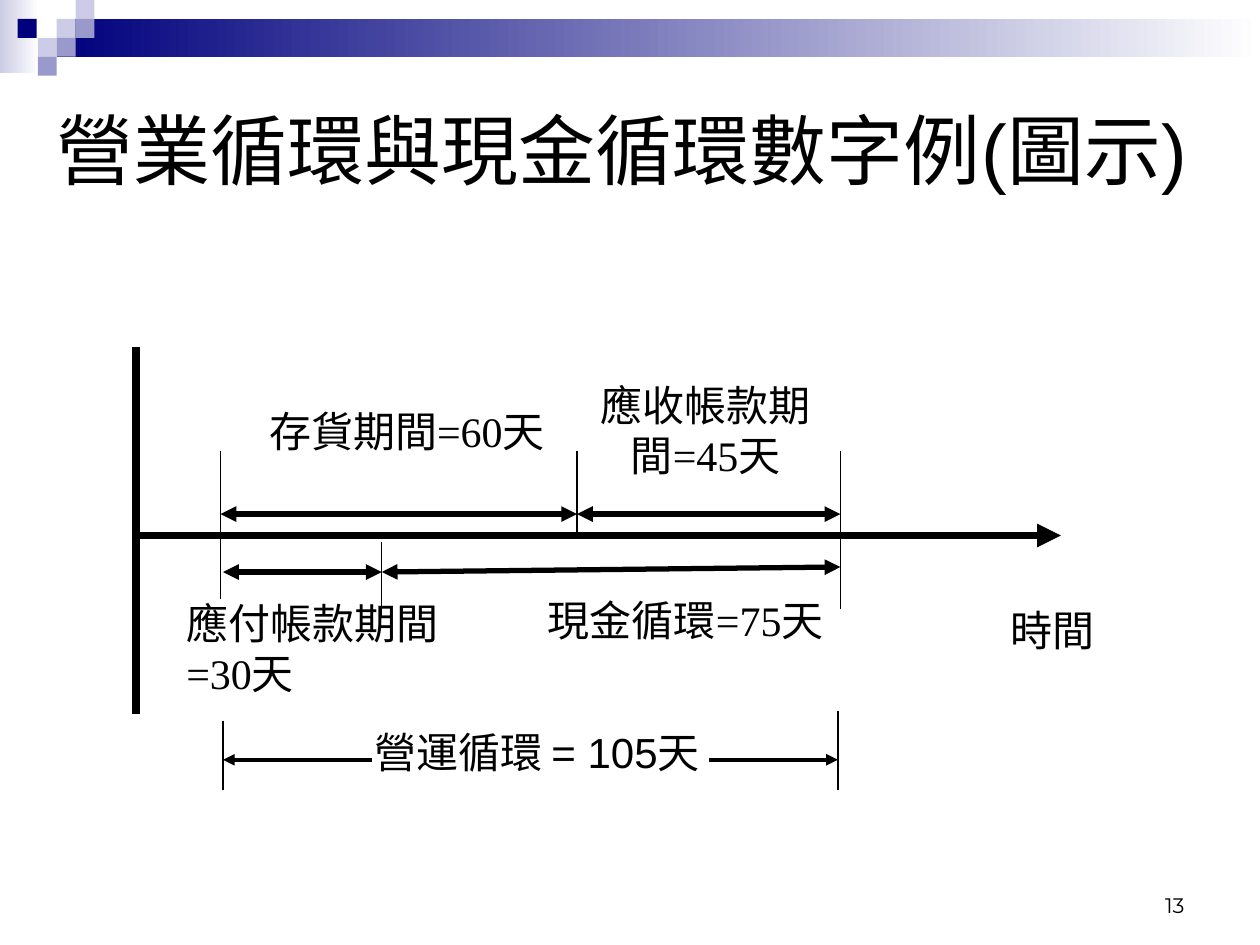
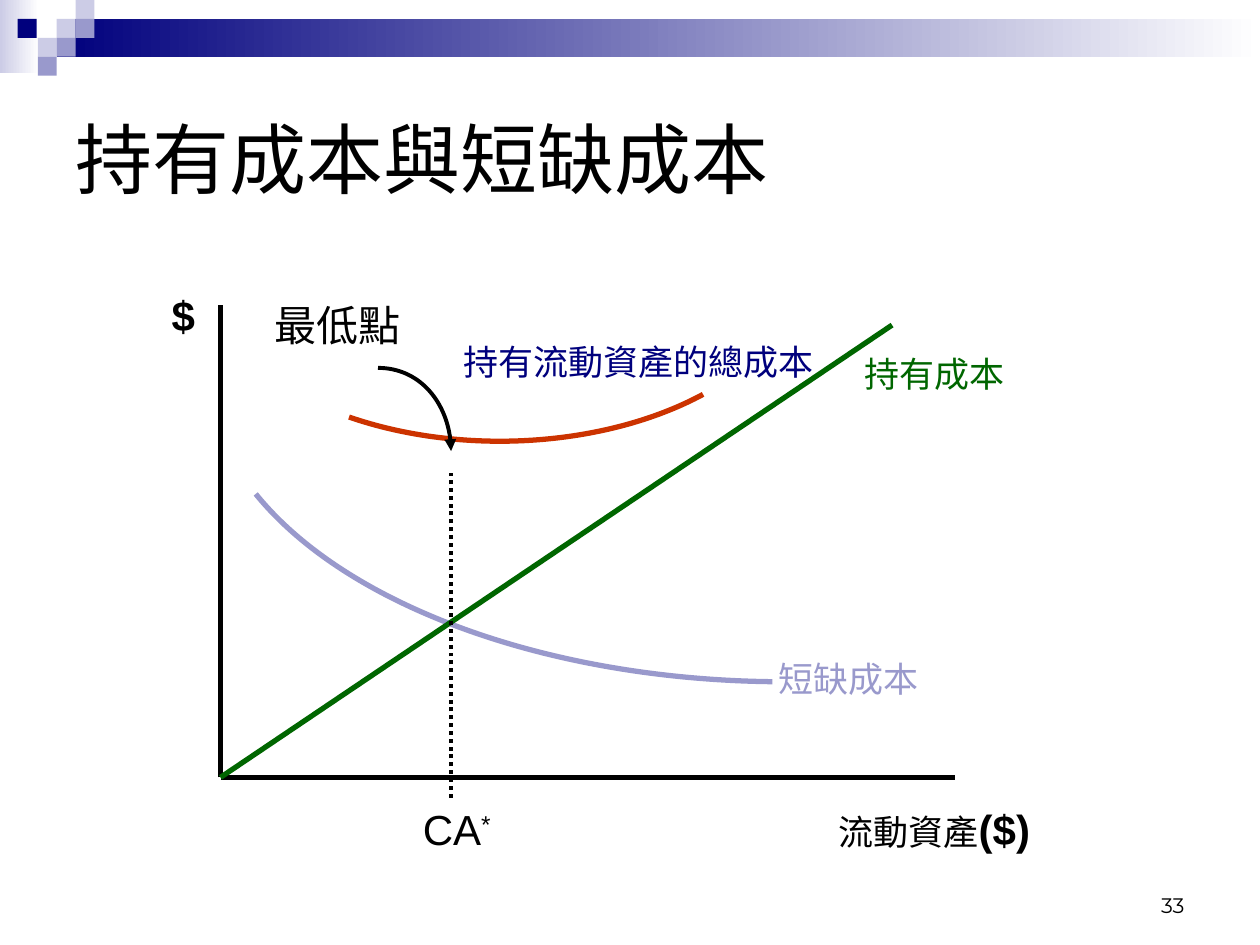
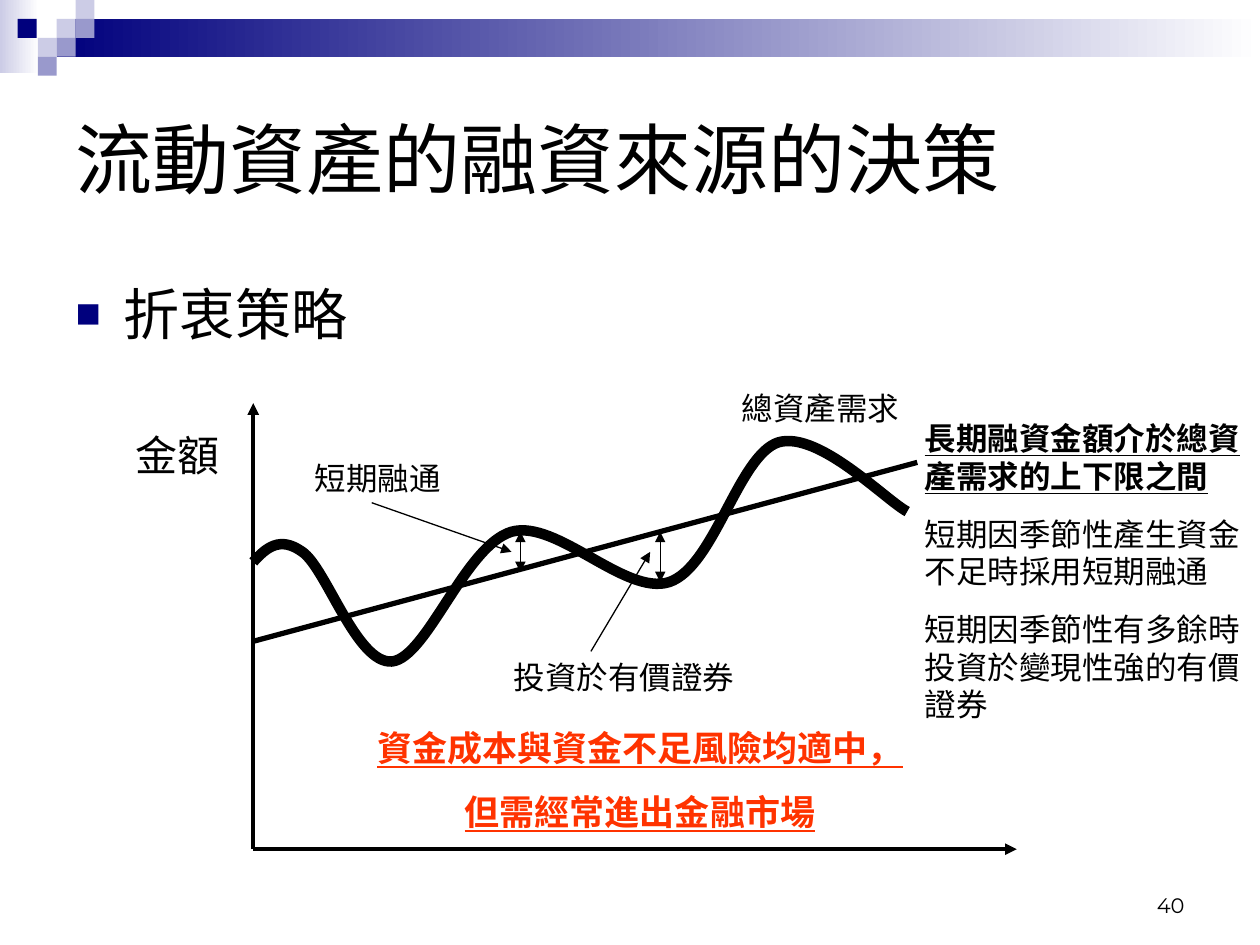
from dataclasses import dataclass
from typing import NamedTuple

from lxml.etree import SubElement
from pptx import Presentation
from pptx.dml.color import RGBColor
from pptx.enum.dml import MSO_LINE
from pptx.enum.shapes import MSO_CONNECTOR, MSO_SHAPE
from pptx.enum.text import MSO_ANCHOR, MSO_AUTO_SIZE, PP_ALIGN
from pptx.oxml.ns import qn
from pptx.util import Inches, Pt

BLACK = RGBColor(0x00, 0x00, 0x00)
WHITE = RGBColor(0xFF, 0xFF, 0xFF)
NAVY = RGBColor(0x00, 0x00, 0x7D)
LILAC = RGBColor(0x99, 0x99, 0xCC)
PALE = RGBColor(0xCC, 0xCC, 0xE6)
GREEN = RGBColor(0x00, 0x66, 0x00)
RUST = RGBColor(0xCC, 0x33, 0x00)
RED = RGBColor(0xFF, 0x33, 0x00)

SANS, SERIF, FOLIO = "Arial", "Times New Roman", "Montserrat"
LEFT, MID, RIGHT = PP_ALIGN.LEFT, PP_ALIGN.CENTER, PP_ALIGN.RIGHT
HEAD, TAIL = "headEnd", "tailEnd"
BOTH = (HEAD, TAIL)


class Box(NamedTuple):
    left: float
    top: float
    width: float
    height: float

    def emu(self) -> list:
        return [Inches(v) for v in self]


class Tile(NamedTuple):
    box: Box
    color: RGBColor
    fade: bool = False


@dataclass
class Label:
    words: str
    box: Box
    size: float = 24
    font: str = SERIF
    color: RGBColor = BLACK
    align: PP_ALIGN = LEFT
    bold: bool = False


@dataclass
class Line:
    start: tuple
    end: tuple
    width: float = 0.75
    color: RGBColor = BLACK
    tips: tuple = ()
    dash: bool = False


@dataclass
class Curve:
    points: list  # start, then two handles and an end for each arc
    width: float
    color: RGBColor = BLACK
    tips: tuple = ()


# Corner mosaic and top band
UNIT = 0.15
TILES = [
    Tile(Box(0, 0, 0.31, 0.58), PALE, True),
    Tile(Box(0.45, 0.15, 9.55, 0.3), NAVY, True),
] + [
    Tile(Box(left, top, UNIT, UNIT), color)
    for left, top, color in [
        (0.45, 0.15, PALE), (0.6, 0, PALE), (0.6, 0.15, LILAC),
        (0.3, 0.3, PALE), (0.14, 0.15, NAVY), (0.45, 0.3, LILAC),
        (0.3, 0.45, LILAC),
    ]
]


def write(par, words: str, *, size: float, font: str = SANS,
          color: RGBColor = BLACK, bold: bool = False,
          under: bool = False, raised: bool = False) -> None:
    run = par.add_run()
    run.text = words
    face = run.font
    face.size, face.name = Pt(size), font
    face.bold, face.underline = bold, under
    face.color.rgb = color
    if raised:
        face._element.set("baseline", "30000")


def frame(slide, box: Box, anchor=MSO_ANCHOR.TOP):
    text = slide.shapes.add_textbox(*box.emu()).text_frame
    text.word_wrap = True
    text.vertical_anchor = anchor
    return text


def add_label(slide, item: Label):
    par = frame(slide, item.box).paragraphs[0]
    par.alignment = item.align
    write(par, item.words, size=item.size, font=item.font,
          color=item.color, bold=item.bold)
    return par


def add_block(slide, box: Box, lines: list, gap: float, align, **form) -> None:
    """Several paragraphs; each line is (words, strong)."""
    text = frame(slide, box)
    for i, (words, strong) in enumerate(lines):
        par = text.add_paragraph() if i else text.paragraphs[0]
        par.alignment = align
        if i:
            par.space_before = Pt(gap)
        write(par, words, bold=strong, under=strong, **form)


def stroke(shape, item) -> None:
    shape.line.width = Pt(item.width)
    shape.line.color.rgb = item.color
    if getattr(item, "dash", False):
        shape.line.dash_style = MSO_LINE.ROUND_DOT
    pen = shape._element.spPr.find(qn("a:ln"))
    for tip in item.tips:
        SubElement(pen, qn(f"a:{tip}"), type="triangle")


def add_line(slide, item: Line) -> None:
    ends = [Inches(v) for v in (*item.start, *item.end)]
    shape = slide.shapes.add_connector(MSO_CONNECTOR.STRAIGHT, *ends)
    stroke(shape, item)
    SubElement(shape._element.spPr, qn("a:effectLst"))


def add_curve(slide, item: Curve) -> None:
    first, *rest = [(Inches(x), Inches(y)) for x, y in item.points]
    pen = slide.shapes.build_freeform(*first)
    pen.add_line_segments(rest, close=False)
    shape = pen.convert_to_shape()
    shape.shadow.inherit = False
    shape.fill.background()
    # Turn every three straight steps into one Bezier arc
    trace = next(shape._element.iter(qn("a:path")))
    steps = trace.findall(qn("a:lnTo"))
    for i in range(0, len(steps), 3):
        arc = SubElement(trace, qn("a:cubicBezTo"))
        for step in steps[i:i + 3]:
            arc.append(step[0])
            trace.remove(step)
    stroke(shape, item)


def add_tile(slide, tile: Tile) -> None:
    shape = slide.shapes.add_shape(MSO_SHAPE.RECTANGLE, *tile.box.emu())
    shape.shadow.inherit = False
    shape.line.fill.background()
    if tile.fade:
        shape.fill.gradient()
        shape.fill.gradient_angle = 180
        for stop, color in zip(shape.fill.gradient_stops, (WHITE, tile.color)):
            stop.color.rgb = color
    else:
        shape.fill.solid()
        shape.fill.fore_color.rgb = tile.color


def place(holder, box: Box, anchor):
    holder.left, holder.top, holder.width, holder.height = box.emu()
    text = holder.text_frame
    text.word_wrap = True
    text.auto_size = MSO_AUTO_SIZE.NONE
    text.vertical_anchor = anchor
    par = text.paragraphs[0]
    par.alignment = LEFT
    par.space_before = Pt(0)
    return par


def new_slide(deck, title: str, folio: str, layout: int = 5,
              box: Box = Box(0.5, 0.5, 9, 1.5)):
    slide = deck.slides.add_slide(deck.slide_layouts[layout])
    for tile in TILES:
        add_tile(slide, tile)
    write(place(slide.shapes.title, box, MSO_ANCHOR.MIDDLE), title, size=44)
    foot = frame(slide, Box(7.17, 6.83, 2.33, 0.5), MSO_ANCHOR.BOTTOM)
    foot.paragraphs[0].alignment = RIGHT
    write(foot.paragraphs[0], folio, size=12, font=FOLIO)
    return slide


def add_bullet(slide, words: str) -> None:
    par = place(slide.placeholders[1], Box(0.5, 2.17, 9.3, 5.13),
                MSO_ANCHOR.TOP)
    props = par._p.get_or_add_pPr()
    props.set("marL", str(Inches(0.38)))
    props.set("indent", str(-Inches(0.38)))
    tint = SubElement(props, qn("a:buClr"))
    SubElement(tint, qn("a:srgbClr"), val=str(NAVY))
    SubElement(props, qn("a:buSzPct"), val="75000")
    SubElement(props, qn("a:buChar"), char="■")
    write(par, words, size=32)


def draw(slide, items: list) -> None:
    tools = {Line: add_line, Curve: add_curve, Label: add_label}
    for item in items:
        tools[type(item)](slide, item)


def cycle_slide(deck) -> None:
    slide = new_slide(deck, "營業循環與現金循環數字例(圖示)", "13",
                      box=Box(0.35, 0.68, 9.21, 1))
    buy, pay, sell, cash = 1.75, 3.03, 4.58, 6.67
    low, high = 1.77, 6.65
    draw(slide, [
        # Time axis
        Line((1.08, 2.75), (1.08, 5.67), 4.5),
        Line((1.08, 4.25), (8.42, 4.25), 4.5, tips=(TAIL,)),
        Label("時間", Box(7.92, 4.75, 1.58, 0.5)),
        # Event marks
        Line((buy, 3.58), (buy, 4.75)),
        Line((cash, 3.58), (cash, 4.83)),
        Line((sell, 4.25), (sell, 3.58)),
        Line((pay, 4.3), (pay, 4.89)),
        # Periods
        Line((buy, 4.08), (sell, 4.08), 3, tips=BOTH),
        Line((sell, 4.08), (cash, 4.08), 3, tips=BOTH),
        Line((pay, 4.54), (cash, 4.5), 3, tips=BOTH),
        Line((low, 4.54), (pay, 4.54), 3, tips=BOTH),
        Label("存貨期間=60天", Box(2.01, 3.17, 2.44, 0.9), align=MID),
        Label("應收帳款期間=45天", Box(4.61, 2.96, 1.98, 0.9), align=MID),
        Label("應付帳款期間=30天", Box(1.38, 4.69, 2.25, 0.9)),
        Label("現金循環=75天", Box(4.25, 4.67, 2.48, 0.9)),
        # Whole operating cycle
        Line((low, 5.72), (low, 6.27)),
        Line((high, 5.64), (high, 6.27)),
        Label("營運循環 = 105天", Box(2.87, 5.72, 2.91, 0.9), font=SANS),
        Line((2.95, 6.03), (low, 6.03), 2.25, tips=(TAIL,)),
        Line((5.63, 6.03), (high, 6.03), 2.25, tips=(TAIL,)),
    ])


def cost_slide(deck) -> None:
    slide = new_slide(deck, "持有成本與短缺成本", "33")
    zero, best = (1.75, 6.17), 3.58
    draw(slide, [
        # Axes
        Line(zero, (1.75, 2.42), 3),
        Line(zero, (7.58, 6.17), 3),
        Label("$", Box(1.08, 2.25, 0.75, 0.5), font=SANS, align=MID,
              bold=True),
        # Cost curves
        Curve([(6.13, 5.41), (4.35, 5.39), (2.75, 4.81), (2.03, 3.92)],
              3, LILAC),
        Label("短缺成本", Box(6.08, 5.17, 2.25, 0.44), 20, color=LILAC),
        Line(zero, (7.08, 2.58), 3, GREEN),
        Label("持有成本", Box(6.08, 2.75, 2.67, 0.44), 20, color=GREEN,
              align=MID),
        Curve([(5.58, 3.13), (4.8, 3.55), (3.67, 3.62), (2.77, 3.31)],
              3, RUST),
        Label("持有流動資產的總成本", Box(3.58, 2.65, 4.33, 0.44), 20,
              color=NAVY),
        # Lowest point
        Line((best, 6.33), (best, 3.75), 2.25, dash=True),
        Label("最低點", Box(2.08, 2.33, 1.58, 0.5)),
        Curve([(3, 2.92), (3.32, 2.92), (best, 3.22), (best, 3.58)],
              2.25, tips=(TAIL,)),
    ])
    # Labels of mixed format
    asset = add_label(slide, Label("流動資產", Box(6, 6.33, 2.83, 0.5), 20,
                                   SANS, align=MID))
    write(asset, "($)", size=24, bold=True)
    mark = add_label(slide, Label("CA", Box(3, 6.33, 1.25, 0.5), font=SANS,
                                  align=MID))
    write(mark, "*", size=24, raised=True)


def fund_slide(deck) -> None:
    slide = new_slide(deck, "流動資產的融資來源的決策", "40", layout=1)
    add_bullet(slide, "折衷策略")
    zero = (2.01, 6.74)
    draw(slide, [
        # Axes
        Line(zero, (2.01, 3.2), 2.25, tips=(TAIL,)),
        Line(zero, (8.07, 6.74), 2.25, tips=(TAIL,)),
        Label("金額", Box(0.98, 3.36, 1.02, 0.5), font=SANS),
        # Long-term funds and total demand
        Line((2.01, 5.09), (7.28, 3.67), 3),
        Curve([(2.01, 4.46),
               (2.11, 4.35), (2.22, 4.25), (2.4, 4.38),
               (2.59, 4.51), (2.83, 5.27), (3.11, 5.25),
               (3.39, 5.22), (3.69, 4.33), (4.06, 4.22),
               (4.42, 4.12), (4.96, 4.73), (5.31, 4.62),
               (5.67, 4.5), (5.86, 3.61), (6.18, 3.51),
               (6.5, 3.42), (7.03, 3.97), (7.2, 4.06)], 6),
        Label("總資產需求", Box(5.79, 3.04, 1.5, 0.4), 18, SANS),
        # Gaps and their callouts
        Line((4.13, 4.22), (4.13, 4.54), tips=BOTH),
        Line((2.95, 3.99), (4.06, 4.38), tips=(TAIL,)),
        Label("短期融通", Box(2.4, 3.59, 2.05, 0.4), 18, SANS),
        Line((5.24, 4.22), (5.24, 4.62), tips=BOTH),
        Line((4.69, 5.17), (5.16, 4.38), tips=(TAIL,)),
        Label("投資於有價證券", Box(3.98, 5.17, 2.05, 0.4), 18, SANS),
    ])
    # Remarks
    add_block(slide, Box(7.24, 3.28, 2.76, 2.52), [
        ("長期融資金額介於總資產需求的上下限之間", True),
        ("短期因季節性產生資金不足時採用短期融通", False),
        ("短期因季節性有多餘時投資於變現性強的有價證券", False),
    ], 11.2, LEFT, size=18)
    add_block(slide, Box(2.56, 5.72, 5.04, 0.94), [
        ("資金成本與資金不足風險均適中，", True),
        ("但需經常進出金融市場", True),
    ], 12.5, MID, size=20, color=RED)


def main() -> None:
    deck = Presentation()
    deck.slide_width, deck.slide_height = Inches(10), Inches(7.5)
    cycle_slide(deck)
    cost_slide(deck)
    fund_slide(deck)
    deck.save("out.pptx")


if __name__ == "__main__":
    main()
